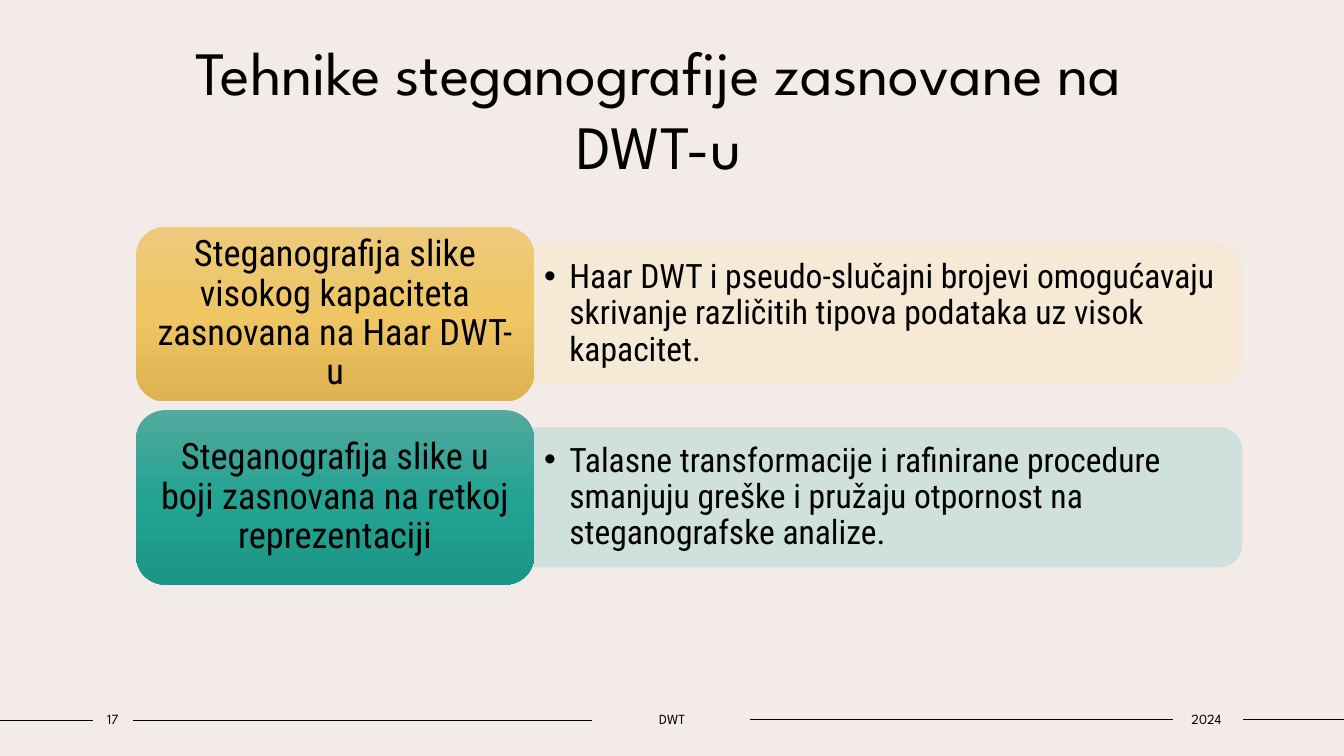
from copy import deepcopy
from dataclasses import dataclass

from lxml import etree
from pptx import Presentation
from pptx.dml.color import RGBColor
from pptx.enum.shapes import MSO_CONNECTOR, MSO_SHAPE
from pptx.enum.text import MSO_ANCHOR, PP_ALIGN
from pptx.oxml.ns import qn
from pptx.util import Pt

LEFT, CENTER = PP_ALIGN.LEFT, PP_ALIGN.CENTER
TOP, MIDDLE = MSO_ANCHOR.TOP, MSO_ANCHOR.MIDDLE
ROUNDED, ROUNDED_END = MSO_SHAPE.ROUNDED_RECTANGLE, MSO_SHAPE.ROUND_2_SAME_RECTANGLE
STRAIGHT = MSO_CONNECTOR.STRAIGHT

# Content
TITLE = "Tehnike steganografije zasnovane na DWT-u"
TECHNIQUES = [
    {
        "label": "Steganografija slike visokog kapaciteta zasnovana na Haar DWT-u",
        "detail": "Haar DWT i pseudo-slučajni brojevi omogućavaju skrivanje "
                  "različitih tipova podataka uz visok kapacitet.",
        "gradient": ("EDCA7D", "EFC663", "DCB350"),
        "tint": "F7E9D4",
    },
    {
        "label": "Steganografija slike u boji zasnovana na retkoj reprezentaciji",
        "detail": "Talasne transformacije i rafinirane procedure smanjuju greške "
                  "i pružaju otpornost na steganografske analize.",
        "gradient": ("52A99D", "24A393", "1B9687"),
        "tint": "CDDFDB",
    },
]
# Footer text, left, width
FOOTER = [("17", 66.2, 28.8), ("DWT", 422.6, 115.2), ("2024", 836.6, 50.4)]
# Footer rule start, end, height on the slide
FOOTER_RULES = [
    (0, 66.2, 514.5), (95, 422.6, 514.5), (535.7, 838, 514), (887.8, 960, 514),
]


@dataclass(frozen=True)
class Theme:
    background: str = "F3EBE8"
    ink: str = "000000"
    heading_font: str = "League Spartan"
    body_font: str = "Roboto Condensed"
    title_size: int = 44
    label_size: int = 26
    detail_size: int = 24
    footer_size: int = 10


THEME = Theme()

# Layout in points
SLIDE_W, SLIDE_H = 960, 540
LABEL_X, LABEL_W, LABEL_H = 97.2, 284.4, 124.6
ROW_TOP, ROW_STEP = 162, 131
DETAIL_W, DETAIL_H = 505.6, 99.6
DETAIL_TEXT_W, DETAIL_TEXT_H = 500.4, 90
FOOTER_Y, FOOTER_H = 504, 19.4
BULLET_INDENT = 18


def write(frame, text, size, font=THEME.body_font, align=CENTER, anchor=MIDDLE,
          spacing=None, inset=7.2, bullet=False):
    frame.word_wrap = True
    frame.vertical_anchor = anchor
    frame.margin_left = frame.margin_right = Pt(inset)
    frame.margin_top = frame.margin_bottom = Pt(3.6)
    paragraph = frame.paragraphs[0]
    paragraph.alignment = align
    if spacing:
        paragraph.line_spacing = spacing
    run = paragraph.add_run()
    run.text = text
    run.font.size = Pt(size)
    run.font.name = font
    run.font.color.rgb = RGBColor.from_string(THEME.ink)
    if bullet:
        props = paragraph._p.get_or_add_pPr()
        props.set("marL", str(Pt(BULLET_INDENT)))
        props.set("indent", str(-Pt(BULLET_INDENT)))
        etree.SubElement(props, qn("a:buFont")).set("typeface", "Arial")
        etree.SubElement(props, qn("a:buChar")).set("char", "•")


def text_box(slide, x, y, w, h):
    return slide.shapes.add_textbox(Pt(x), Pt(y), Pt(w), Pt(h)).text_frame


def add_panel(slide, preset, x, y, w, h):
    panel = slide.shapes.add_shape(preset, Pt(x), Pt(y), Pt(w), Pt(h))
    panel.shadow.inherit = False
    return panel


def fill_gradient(panel, colors):
    panel.line.fill.background()
    panel.fill.gradient()
    panel.fill.gradient_angle = 270
    stop_list = panel._element.spPr.find(".//" + qn("a:gsLst"))
    stop_list.insert(1, deepcopy(stop_list[0]))
    for i, (stop, color) in enumerate(zip(panel.fill.gradient_stops, colors)):
        stop.position = i / (len(colors) - 1)
        stop.color.rgb = RGBColor.from_string(color)


def fill_tint(panel, color):
    panel.fill.solid()
    panel.fill.fore_color.rgb = RGBColor.from_string(color)
    panel.line.color.rgb = RGBColor.from_string(color)
    panel.line.width = Pt(0.5)
    for shade in panel._element.spPr.iter(qn("a:srgbClr")):
        etree.SubElement(shade, qn("a:alpha")).set("val", "90000")


def add_technique(slide, technique, top):
    middle = top + LABEL_H / 2
    detail_x = LABEL_X + LABEL_W

    # Detail panel: upright shape turned a quarter so its round end faces right
    center_x = detail_x + DETAIL_W / 2
    panel = add_panel(slide, ROUNDED_END, center_x - DETAIL_H / 2,
                      middle - DETAIL_W / 2, DETAIL_H, DETAIL_W)
    panel.rotation = 90
    fill_tint(panel, technique["tint"])
    frame = text_box(slide, detail_x, middle - DETAIL_TEXT_H / 2,
                     DETAIL_TEXT_W, DETAIL_TEXT_H)
    write(frame, technique["detail"], THEME.detail_size, align=LEFT,
          spacing=0.9, bullet=True)

    # Label
    label = add_panel(slide, ROUNDED, LABEL_X, top, LABEL_W, LABEL_H)
    fill_gradient(label, technique["gradient"])
    write(label.text_frame, technique["label"], THEME.label_size,
          spacing=0.9, inset=7.8)


def add_footer(slide):
    for start, end, y in FOOTER_RULES:
        rule = slide.shapes.add_connector(STRAIGHT, Pt(start), Pt(y), Pt(end), Pt(y))
        rule.line.color.rgb = RGBColor.from_string(THEME.ink)
        rule.line.width = Pt(1)
        etree.SubElement(rule._element.spPr, qn("a:effectLst"))
    for text, x, width in FOOTER:
        write(text_box(slide, x, FOOTER_Y, width, FOOTER_H), text,
              THEME.footer_size, font=THEME.heading_font, inset=0)


def main():
    deck = Presentation()
    deck.slide_width, deck.slide_height = Pt(SLIDE_W), Pt(SLIDE_H)
    slide = deck.slides.add_slide(deck.slide_layouts[6])
    slide.background.fill.solid()
    slide.background.fill.fore_color.rgb = RGBColor.from_string(THEME.background)

    add_footer(slide)
    for row, technique in enumerate(TECHNIQUES):
        add_technique(slide, technique, ROW_TOP + row * ROW_STEP)
    write(text_box(slide, 80.6, 20.9, 780.5, 79.9), TITLE, THEME.title_size,
          font=THEME.heading_font, anchor=TOP)

    deck.save("out.pptx")


if __name__ == "__main__":
    main()
